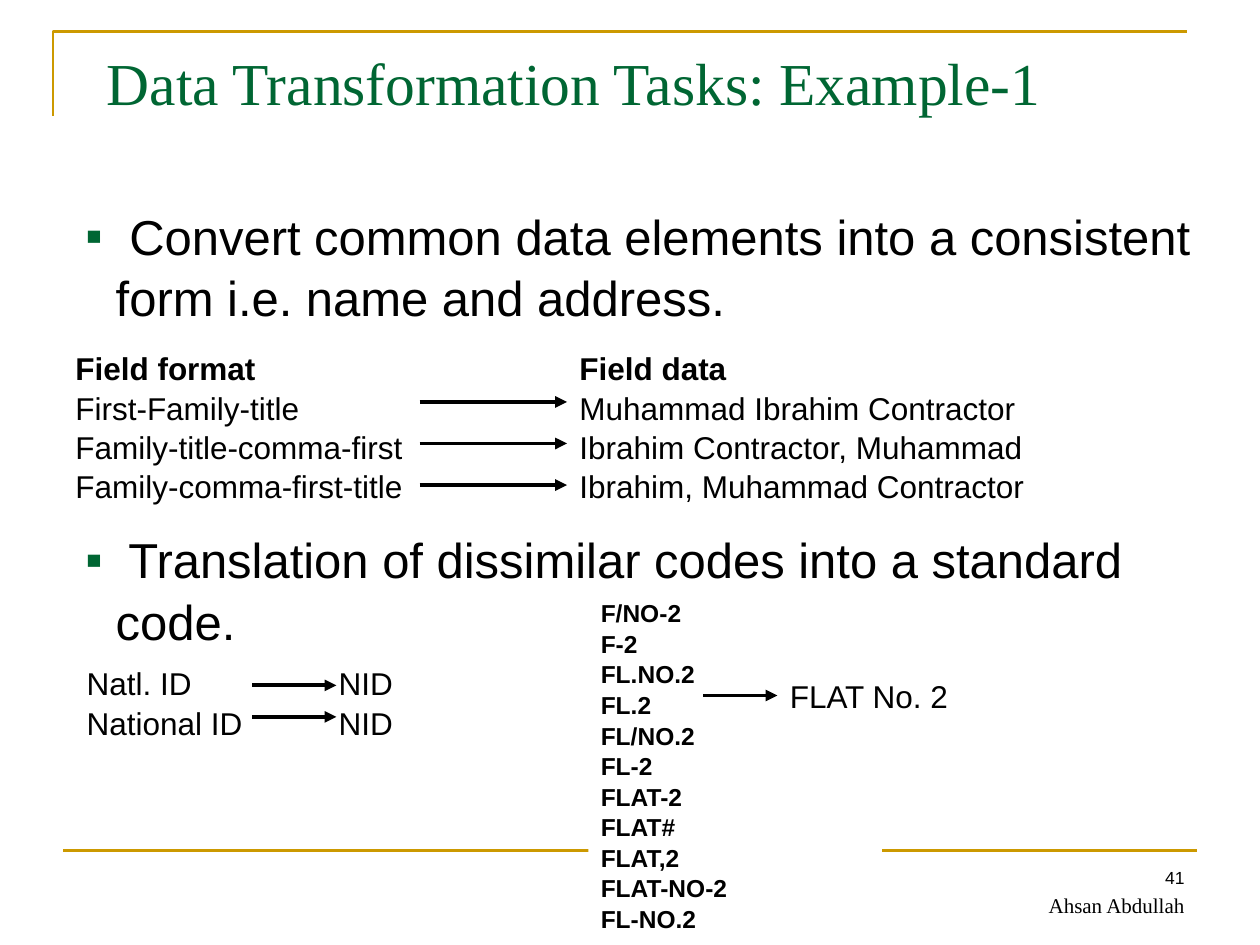
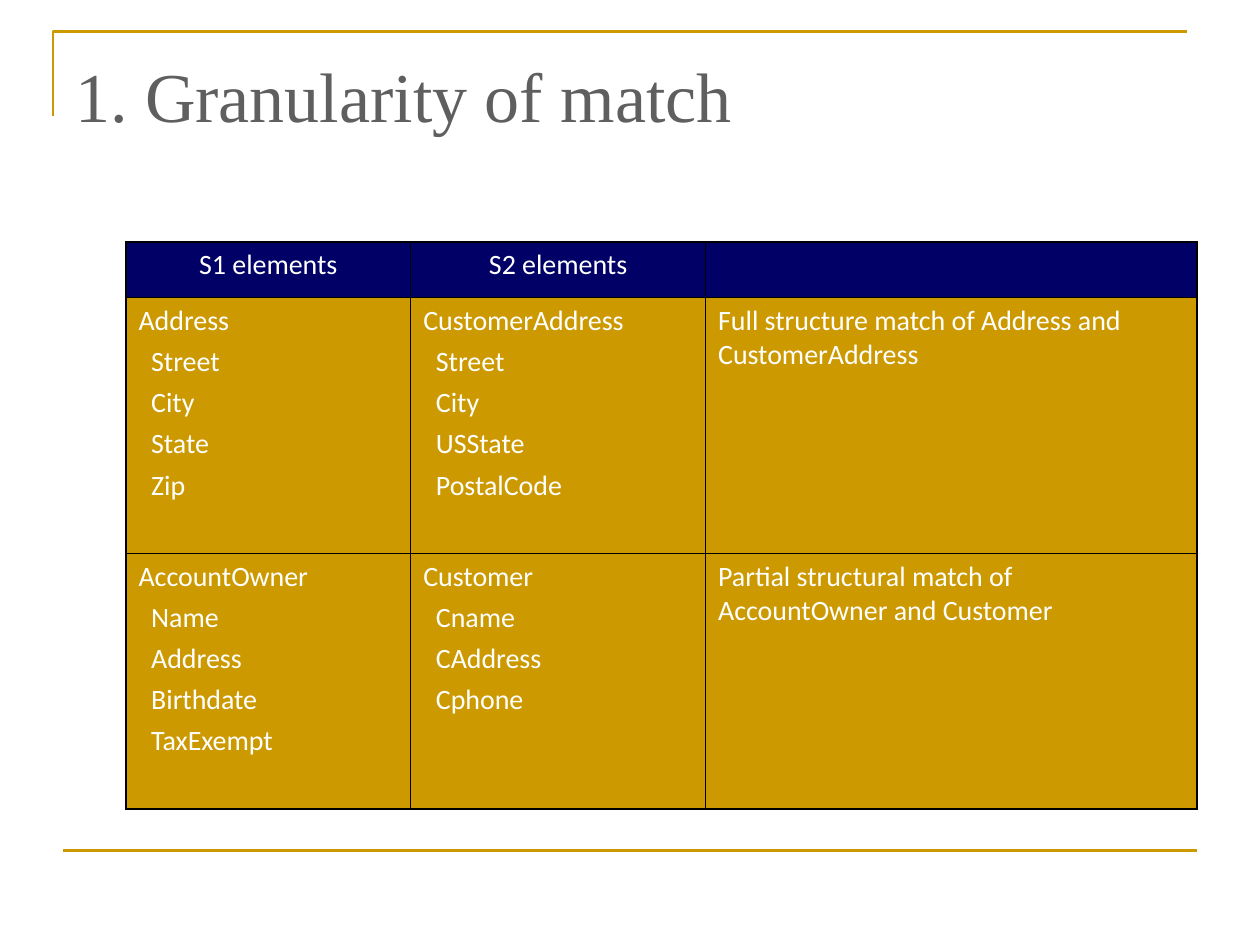
from dataclasses import dataclass

from lxml.etree import SubElement
from pptx import Presentation
from pptx.dml.color import RGBColor
from pptx.enum.shapes import MSO_CONNECTOR, MSO_SHAPE
from pptx.enum.text import MSO_ANCHOR, PP_ALIGN
from pptx.oxml.ns import qn
from pptx.util import Inches, Pt


@dataclass(frozen=True)
class Theme:
    black: str = "000000"
    white: str = "FFFFFF"
    gold: str = "CC9900"
    green: str = "006633"
    gray: str = "5F5F5F"
    navy: str = "000066"
    serif: str = "Times New Roman"
    sans: str = "Arial"
    table_font: str = "Calibri"
    body: int = 28
    example: int = 18
    codes: int = 14
    table: int = 16
    author: int = 12
    number: int = 10
    spacing: float = 1.045


THEME = Theme()

# text, left, top, size, colour, line spacing
TITLES = [
    ("Data Transformation Tasks: Example-1", 0.75, 0.38, 34, THEME.green, 0.9),
    ("1. Granularity of match", 0.5, 0.37, 40, THEME.gray, 1.0),
]
AUTHOR, PAGE_NUMBER = "Ahsan Abdullah", "41"

TASKS = [
    " Convert common data elements into a consistent form i.e. name and address.",
    " Translation of dissimilar codes into a standard code.",
]
NAME_FORMATS = [
    ("Field format", "Field data"),
    ("First-Family-title", "Muhammad Ibrahim Contractor"),
    ("Family-title-comma-first", "Ibrahim Contractor, Muhammad"),
    ("Family-comma-first-title", "Ibrahim, Muhammad Contractor"),
]
ID_CODES = [("Natl. ID", "NID"), ("National ID", "NID")]
FLAT_CODES = ["F/NO-2", "F-2", "FL.NO.2", "FL.2", "FL/NO.2", "FL-2",
              "FLAT-2", "FLAT#", "FLAT,2", "FLAT-NO-2", "FL-NO.2"]
FLAT_STANDARD = "FLAT No. 2"

MATCH_HEADER = ["S1 elements", "S2 elements", ""]
MATCH_ROWS = [
    (["Address", "Street", "City", "State", "Zip"],
     ["CustomerAddress", "Street", "City", "USState", "PostalCode"],
     ["Full structure match of Address and CustomerAddress"]),
    (["AccountOwner", "Name", "Address", "Birthdate", "TaxExempt"],
     ["Customer", "Cname", "CAddress", "Cphone"],
     ["Partial structural match of AccountOwner and Customer"]),
]
COLUMN_WIDTHS = [2.26, 2.34, 3.9]
ROW_HEIGHTS = [0.44, 2.03, 2.03]


def rgb(value):
    return RGBColor.from_string(value)


def add_span(para, text, size, font=THEME.sans, color=THEME.black, bold=False):
    span = para.add_run()
    span.text = text
    span.font.size = Pt(size)
    span.font.name = font
    span.font.bold = bold
    span.font.color.rgb = rgb(color)


def paragraphs(frame, count):
    """Return the frame's first paragraph followed by new ones, count in all."""
    return [frame.paragraphs[0]] + [frame.add_paragraph() for _ in range(count - 1)]


def add_box(page, left, top, width, height, anchor=MSO_ANCHOR.TOP):
    box = page.shapes.add_textbox(Inches(left), Inches(top), Inches(width), Inches(height))
    box.text_frame.word_wrap = True
    box.text_frame.vertical_anchor = anchor
    return box.text_frame


def add_panel(page, place, lines, size, tab=None, bold_lines=0):
    """White rectangle of plain lines, with an optional tab stop in inches."""
    panel = page.shapes.add_shape(MSO_SHAPE.RECTANGLE, *map(Inches, place))
    panel.shadow.inherit = False
    panel.fill.solid()
    panel.fill.fore_color.rgb = rgb(THEME.white)
    panel.line.fill.background()
    frame = panel.text_frame
    frame.word_wrap = True
    frame.vertical_anchor = MSO_ANCHOR.TOP
    frame.margin_top = Inches(0.07)
    frame.margin_bottom = 0
    for index, (para, text) in enumerate(zip(paragraphs(frame, len(lines)), lines)):
        para.alignment = PP_ALIGN.LEFT
        para.line_spacing = THEME.spacing
        if tab:
            stops = SubElement(para._p.get_or_add_pPr(), qn("a:tabLst"))
            SubElement(stops, qn("a:tab"), pos=str(Inches(tab)), algn="l")
        add_span(para, text, size, bold=index < bold_lines)


def add_line(page, start, end, y, color, width, arrow=False):
    line = page.shapes.add_connector(
        MSO_CONNECTOR.STRAIGHT, Inches(start), Inches(y), Inches(end), Inches(y))
    line.line.color.rgb = rgb(color)
    line.line.width = Pt(width)
    if arrow:
        SubElement(line.line._get_or_add_ln(), qn("a:tailEnd"), type="triangle")
    SubElement(line._element.spPr, qn("a:effectLst"))


def add_arrow(page, start, end, y):
    add_line(page, start, end, y, THEME.black, 2.25, arrow=True)


def add_page(deck, title):
    """Add a blank page with the gold frame lines and its title."""
    page = deck.slides.add_slide(deck.slide_layouts[6])
    builder = page.shapes.build_freeform(Inches(0.42), Inches(0.92))
    builder.add_line_segments(
        [(Inches(0.42), Inches(0.25)), (Inches(9.42), Inches(0.25))], close=False)
    corner = builder.convert_to_shape()
    corner.shadow.inherit = False
    corner.fill.background()
    corner.line.color.rgb = rgb(THEME.gold)
    corner.line.width = Pt(1.5)
    add_line(page, 0.5, 9.5, 6.75, THEME.gold, 1.5)

    text, left, top, size, color, spacing = title
    para = add_box(page, left, top, 9, 1.2).paragraphs[0]
    para.line_spacing = spacing
    add_span(para, text, size, THEME.serif, color)
    return page


def add_footer(page):
    for text, size, font, anchor in (
            (AUTHOR, THEME.author, THEME.serif, MSO_ANCHOR.BOTTOM),
            (PAGE_NUMBER, THEME.number, THEME.sans, MSO_ANCHOR.TOP)):
        para = add_box(page, 7.17, 6.83, 2.33, 0.5, anchor).paragraphs[0]
        para.alignment = PP_ALIGN.RIGHT
        add_span(para, text, size, font)


def add_tasks(page):
    frame = add_box(page, 0.58, 1.57, 9.08, 5)
    items = paragraphs(frame, len(TASKS))
    for para, text in zip(items, TASKS):
        para.line_spacing = THEME.spacing
        props = para._p.get_or_add_pPr()
        props.set("marL", str(Inches(0.24)))
        props.set("indent", str(-Inches(0.24)))
        SubElement(SubElement(props, qn("a:buClr")), qn("a:srgbClr"), val=THEME.green)
        SubElement(props, qn("a:buFont"), typeface=THEME.sans)
        SubElement(props, qn("a:buChar"), char="▪")
        add_span(para, text, THEME.body)
    items[1].space_before = Pt(115)


def build_tasks_page(deck):
    page = add_page(deck, TITLES[0])
    add_footer(page)
    add_tasks(page)

    add_panel(page, (0.5, 2.69, 8.08, 1.3), ["\t".join(row) for row in NAME_FORMATS],
              THEME.example, tab=4, bold_lines=1)
    for row in range(len(NAME_FORMATS) - 1):
        add_arrow(page, 3.33, 4.5, 3.19 + 0.33 * row)

    add_panel(page, (0.59, 5.19, 2.63, 0.7), ["\t".join(row) for row in ID_CODES],
              THEME.example, tab=2)
    for row in range(len(ID_CODES)):
        add_arrow(page, 2, 2.67, 5.44 + 0.25 * row)

    add_panel(page, (4.67, 4.67, 2.33, 2.67), FLAT_CODES, THEME.codes,
              bold_lines=len(FLAT_CODES))
    add_panel(page, (6.17, 5.29, 1.48, 0.4), [FLAT_STANDARD], THEME.example)
    add_arrow(page, 5.58, 6.17, 5.52)


def set_borders(cell, widths):
    props = cell._tc.get_or_add_tcPr()
    for index, (side, width) in enumerate(widths.items()):
        border = props.makeelement(qn("a:ln" + side), {"w": str(Pt(width))})
        fill = SubElement(border, qn("a:solidFill"))
        SubElement(fill, qn("a:srgbClr"), val=THEME.black)
        props.insert(index, border)


def build_match_page(deck):
    page = add_page(deck, TITLES[1])
    rows = [[[text] for text in MATCH_HEADER], *MATCH_ROWS]
    table = page.shapes.add_table(
        len(rows), len(COLUMN_WIDTHS), Inches(1), Inches(1.92),
        Inches(sum(COLUMN_WIDTHS)), Inches(sum(ROW_HEIGHTS))).table
    for column, width in zip(table.columns, COLUMN_WIDTHS):
        column.width = Inches(width)
    for row, height in zip(table.rows, ROW_HEIGHTS):
        row.height = Inches(height)

    last_row, last_column = len(rows) - 1, len(COLUMN_WIDTHS) - 1
    for r, row in enumerate(rows):
        for c, lines in enumerate(row):
            cell = table.cell(r, c)
            cell.fill.solid()
            cell.fill.fore_color.rgb = rgb(THEME.gold if r else THEME.navy)
            outer = {"L": c == 0, "R": c == last_column, "T": r == 0, "B": r == last_row}
            set_borders(cell, {side: 1.08 if edge else 0.45 for side, edge in outer.items()})
            for index, (para, text) in enumerate(
                    zip(paragraphs(cell.text_frame, len(lines)), lines)):
                para.space_before = Pt(4)
                para.alignment = PP_ALIGN.LEFT if r else PP_ALIGN.CENTER
                if index:
                    para._p.get_or_add_pPr().set("marL", str(Inches(0.1)))
                if text:
                    add_span(para, text, THEME.table, THEME.table_font, THEME.white)


def main():
    deck = Presentation()
    deck.slide_width, deck.slide_height = Inches(10), Inches(7.5)
    build_tasks_page(deck)
    build_match_page(deck)
    deck.save("out.pptx")


if __name__ == "__main__":
    main()
